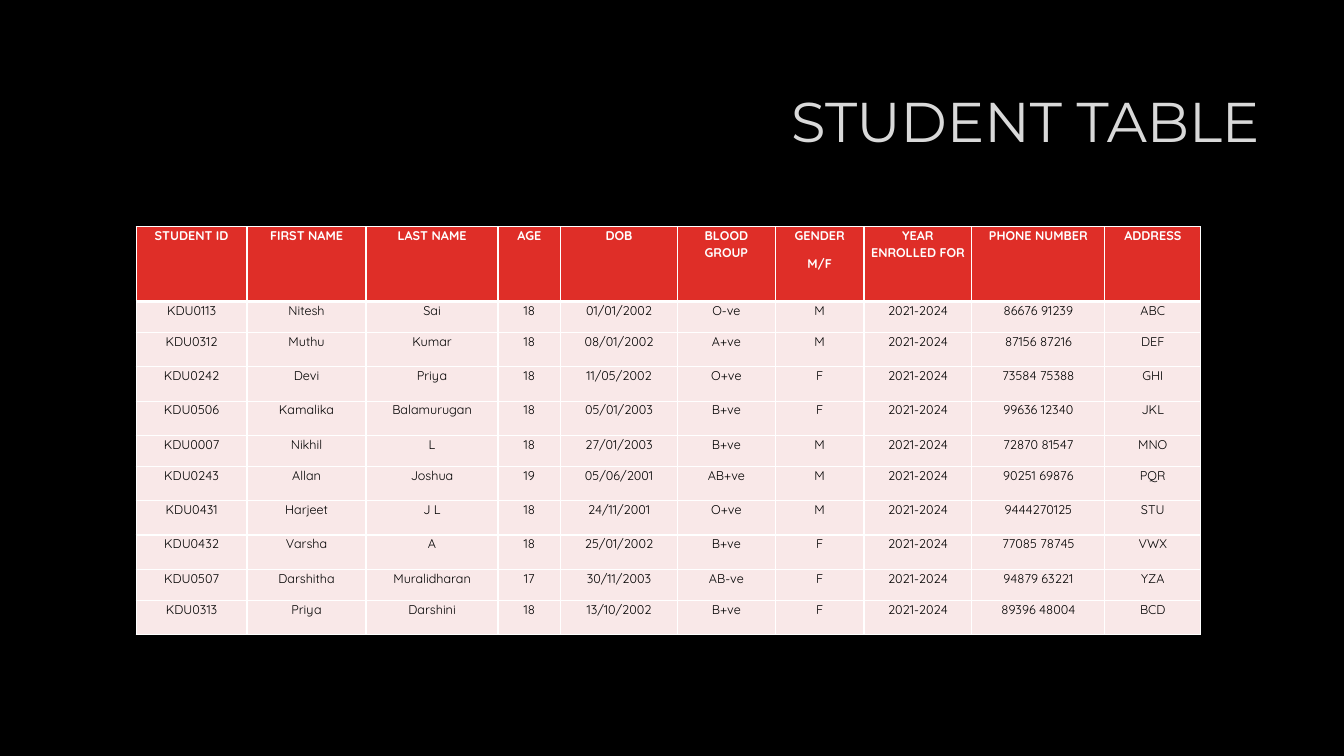
from lxml.etree import SubElement
from pptx import Presentation
from pptx.dml.color import RGBColor
from pptx.enum.text import MSO_ANCHOR, PP_ALIGN
from pptx.oxml import parse_xml
from pptx.oxml.ns import nsdecls, qn
from pptx.util import Inches, Pt

BLACK = RGBColor(0x00, 0x00, 0x00)
WHITE = RGBColor(0xFF, 0xFF, 0xFF)
GREY = RGBColor(0xD9, 0xD9, 0xD9)
RED = RGBColor(0xDF, 0x2E, 0x28)
PINK = RGBColor(0xF9, 0xE8, 0xE8)

TITLE_FONT = {"name": "Montserrat", "size": Pt(40), "bold": False}
CELL_FONT = {"name": "Quicksand", "size": Pt(9)}
CELL_PARA = {"alignment": PP_ALIGN.CENTER, "line_spacing": 1.07, "space_after": Pt(8)}
CELL_MARGINS = {
    "margin_left": Inches(0.06), "margin_right": Inches(0.06),
    "margin_top": 0, "margin_bottom": 0,
}

COLUMN_WIDTHS = [1.1, 1.18, 1.31, 0.62, 1.16, 0.97, 0.88, 1.07, 1.32, 0.95]
HEADER_HEIGHT = 0.74
YEARS = "2021-2024"
HEADINGS = ["STUDENT ID", "FIRST NAME", "LAST NAME", "AGE", "DOB", "BLOOD GROUP",
            "GENDER\nM/F", "YEAR ENROLLED FOR", "PHONE NUMBER", "ADDRESS"]
STUDENTS = [
    ["KDU0113", "Nitesh", "Sai", "18", "01/01/2002", "O-ve", "M", YEARS, "86676 91239", "ABC"],
    ["KDU0312", "Muthu", "Kumar", "18", "08/01/2002", "A+ve", "M", YEARS, "87156 87216", "DEF"],
    ["KDU0242", "Devi", "Priya", "18", "11/05/2002", "O+ve", "F", YEARS, "73584 75388", "GHI"],
    ["KDU0506", "Kamalika", "Balamurugan", "18", "05/01/2003", "B+ve", "F", YEARS,
     "99636 12340", "JKL"],
    ["KDU0007", "Nikhil", "L", "18", "27/01/2003", "B+ve", "M", YEARS, "72870 81547", "MNO"],
    ["KDU0243", "Allan", "Joshua", "19", "05/06/2001", "AB+ve", "M", YEARS, "90251 69876", "PQR"],
    ["KDU0431", "Harjeet", "J L", "18", "24/11/2001", "O+ve", "M", YEARS, "9444270125", "STU"],
    ["KDU0432", "Varsha", "A", "18", "25/01/2002", "B+ve", "F", YEARS, "77085 78745", "VWX"],
    ["KDU0507", "Darshitha", "Muralidharan", "17", "30/11/2003", "AB-ve", "F", YEARS,
     "94879 63221", "YZA"],
    ["KDU0313", "Priya", "Darshini", "18", "13/10/2002", "B+ve", "F", YEARS, "89396 48004", "BCD"],
]


def set_format(target, values):
    for name, value in values.items():
        setattr(target, name, value)


def line_element(tag, points):
    """Return a white solid line element of the given width."""
    line = parse_xml(f'<a:{tag} {nsdecls("a")} w="{Pt(points)}"/>')
    fill = SubElement(line, qn("a:solidFill"))
    SubElement(fill, qn("a:srgbClr")).set("val", str(WHITE))
    return line


def add_title(page, left, top, width, height):
    box = page.shapes.add_textbox(Inches(left), Inches(top), Inches(width), Inches(height))
    set_format(box.text_frame, {
        "word_wrap": True, "vertical_anchor": MSO_ANCHOR.TOP, "margin_top": Inches(0.09),
    })
    para = box.text_frame.paragraphs[0]
    set_format(para, {"alignment": PP_ALIGN.RIGHT, "line_spacing": 0.9})
    span = para.add_run()
    span.text = "STUDENT TABLE"
    set_format(span.font, TITLE_FONT)
    span.font.color.rgb = GREY
    span.font._element.insert(0, line_element("ln", 0.75))


def fill_cell(cell, text, is_header, below_header):
    set_format(cell, CELL_MARGINS)
    cell.text = text
    for para in cell.text_frame.paragraphs:
        set_format(para, CELL_PARA)
        for span in para.runs:
            set_format(span.font, CELL_FONT)
            span.font.bold = is_header
            span.font.color.rgb = WHITE if is_header else BLACK
    cell.fill.solid()
    cell.fill.fore_color.rgb = RED if is_header else PINK
    borders = {"lnL": 1, "lnR": 1, "lnT": 3 if below_header else 1, "lnB": 3 if is_header else 1}
    for position, (tag, points) in enumerate(borders.items()):
        cell._tc.get_or_add_tcPr().insert(position, line_element(tag, points))


def add_student_table(page, left, top):
    rows = [HEADINGS] + STUDENTS
    # Every fourth student row, from the first, is slightly lower.
    heights = [HEADER_HEIGHT] + [0.31 if i % 4 == 0 else 0.34 for i in range(len(STUDENTS))]
    frame = page.shapes.add_table(
        len(rows), len(HEADINGS), Inches(left), Inches(top),
        Inches(sum(COLUMN_WIDTHS)), Inches(sum(heights)))
    table = frame.table
    table.horz_banding = False
    for column, width in zip(table.columns, COLUMN_WIDTHS):
        column.width = Inches(width)
    for number, (row, height, texts) in enumerate(zip(table.rows, heights, rows)):
        row.height = Inches(height)
        for cell, text in zip(row.cells, texts):
            fill_cell(cell, text, number == 0, number == 1)


def main():
    deck = Presentation()
    deck.slide_width, deck.slide_height = Inches(13.33), Inches(7.5)
    page = deck.slides.add_slide(deck.slide_layouts[6])
    page.background.fill.solid()
    page.background.fill.fore_color.rgb = BLACK
    add_title(page, 3.17, 0.84, 9.42, 1.41)
    add_student_table(page, 1.35, 2.25)
    deck.save("out.pptx")


if __name__ == "__main__":
    main()
